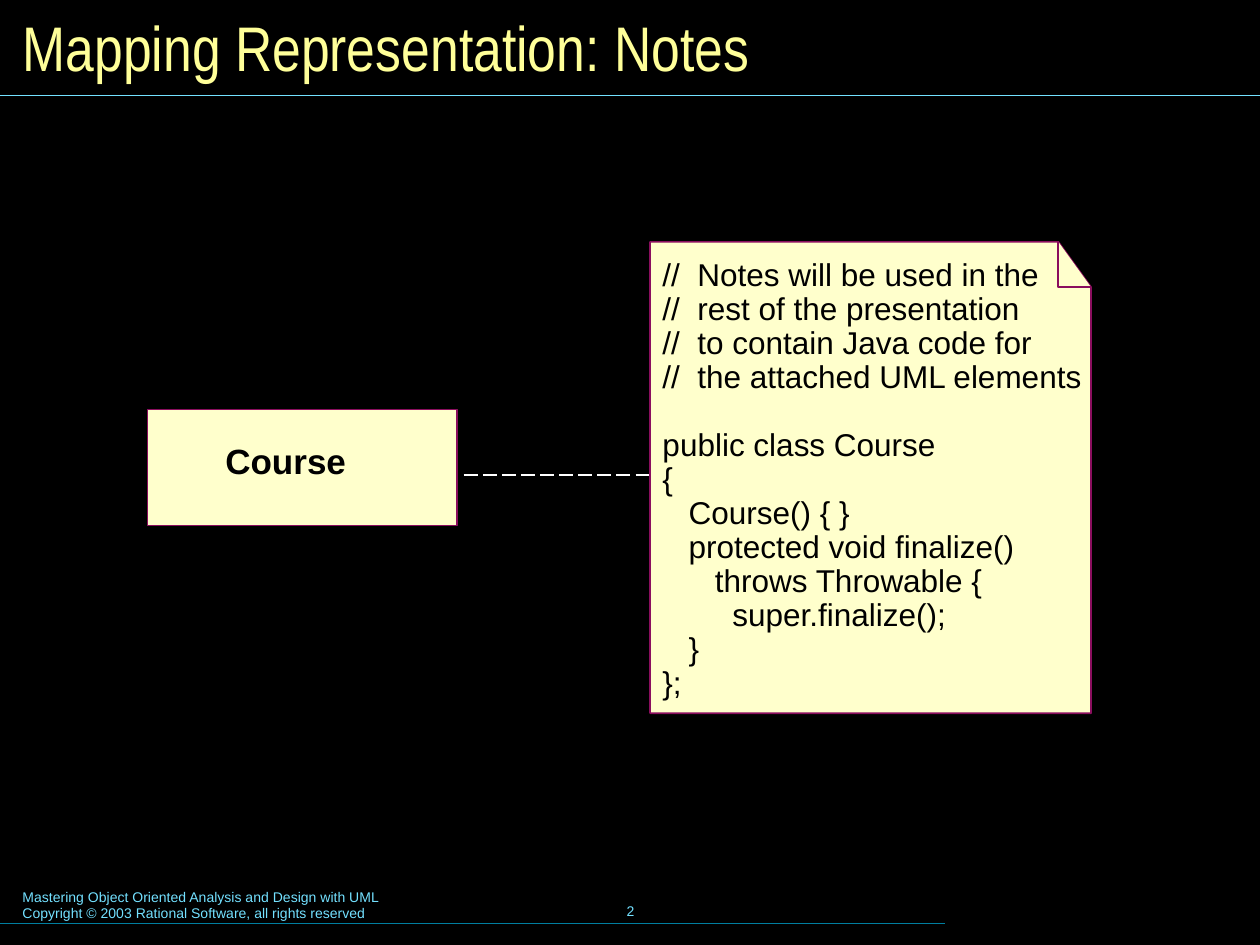
"""Build a slide that shows a UML class with a Java code note attached."""
import pptx
import pptx.dml.color
import pptx.enum.dml
import pptx.enum.shapes
import pptx.enum.text
import pptx.oxml
import pptx.util

Inches = pptx.util.Inches
Pt = pptx.util.Pt
RGBColor = pptx.dml.color.RGBColor
ALIGN = pptx.enum.text.PP_ALIGN
ANCHOR = pptx.enum.text.MSO_ANCHOR

BLACK = RGBColor(0x00, 0x00, 0x00)
WHITE = RGBColor(0xFF, 0xFF, 0xFF)
CREAM = RGBColor(0xFF, 0xFF, 0xCC)
PLUM = RGBColor(0x8A, 0x0E, 0x5E)
YELLOW = RGBColor(0xFF, 0xFF, 0x99)
SKY = RGBColor(0x73, 0xE1, 0xFF)
TEAL = RGBColor(0x00, 0x7E, 0x9F)

TITLE = "Mapping Representation: Notes"
CLASS_NAME = "Course"
PAGE_NUMBER = "2"
FOOTER = [
    "Mastering Object Oriented Analysis and Design with UML",
    "Copyright © 2003 Rational Software, all rights reserved",
]
COMMENT = [
    "//  Notes will be used in the",
    "//  rest of the presentation",
    "//  to contain Java code for",
    "//  the attached UML elements",
]
CODE = [
    "public class Course",
    "{",
    "   Course() { }",
    "   protected void finalize()",
    "      throws Throwable {",
    "        super.finalize();",
    "   }",
    "};",
]

WIDTH, HEIGHT = 10, 7.5
MARGIN = 0.08
NOTE_LEFT, NOTE_TOP, NOTE_RIGHT, NOTE_BOTTOM = 5.16, 1.92, 8.66, 5.66
FOLD_WIDTH, FOLD_HEIGHT = 0.26, 0.36
FOLD_LEFT, FOLD_BOTTOM = NOTE_RIGHT - FOLD_WIDTH, NOTE_TOP + FOLD_HEIGHT
CLASS_AREA = (1.17, 3.25, 2.46, 0.92)
LINK_START, LINK_Y = 3.68, 3.77


def style_text(frame, size, color, font="Arial", bold=False, spacing=None):
    for para in frame.paragraphs:
        para.line_spacing = spacing
        for span in para.runs:
            span.font.name = font
            span.font.size = Pt(size)
            span.font.bold = bold
            span.font.color.rgb = color


def add_text(page, area, lines, size, color, wrap=False, **style):
    box = page.shapes.add_textbox(*map(Inches, area))
    frame = box.text_frame
    frame.word_wrap = wrap
    frame.text = "\n".join(lines)
    style_text(frame, size, color, **style)
    return frame


def paint(shape):
    shape.shadow.inherit = False
    shape.fill.solid()
    shape.fill.fore_color.rgb = CREAM
    shape.line.color.rgb = PLUM
    shape.line.width = Pt(1)


def add_outline(page, points, close):
    start, *rest = [(Inches(x), Inches(y)) for x, y in points]
    builder = page.shapes.build_freeform(*start)
    builder.add_line_segments(rest, close=close)
    paint(builder.convert_to_shape())


def add_line(page, left, right, y, color, width):
    line = page.shapes.add_connector(
        pptx.enum.shapes.MSO_CONNECTOR.STRAIGHT,
        Inches(left), Inches(y), Inches(right), Inches(y))
    line.line.color.rgb = color
    line.line.width = Pt(width)
    properties = line.line._get_or_add_ln().getparent()
    properties.append(pptx.oxml.parse_xml(
        '<a:effectLst xmlns:a="http://schemas.openxmlformats.org/drawingml/2006/main"/>'))
    return line


def add_frame(page):
    add_text(page, (MARGIN, 7, 5.1, 0.37), FOOTER, 8, SKY, wrap=True)
    number = add_text(page, (3.42, 6.98, 3.17, 0.5), [PAGE_NUMBER], 8, SKY)
    number.vertical_anchor = ANCHOR.MIDDLE
    number.paragraphs[0].alignment = ALIGN.CENTER
    add_line(page, 0, WIDTH * 0.75, 7.33, TEAL, 0.75)
    add_line(page, 0, WIDTH, 0.76, SKY, 0.75)


def add_title(page):
    title = page.shapes.title
    title.left, title.top = Inches(MARGIN), Inches(MARGIN)
    title.width, title.height = Inches(WIDTH - 2 * MARGIN), Inches(0.58)
    frame = title.text_frame
    frame.text = TITLE
    frame.vertical_anchor = ANCHOR.MIDDLE
    frame.paragraphs[0].alignment = ALIGN.LEFT
    style_text(frame, 36, YELLOW, font="Arial Narrow")


def add_note(page):
    add_outline(page, [
        (NOTE_RIGHT, NOTE_BOTTOM), (NOTE_LEFT, NOTE_BOTTOM), (NOTE_LEFT, NOTE_TOP),
        (FOLD_LEFT, NOTE_TOP), (NOTE_RIGHT, FOLD_BOTTOM)], close=True)
    add_outline(page, [
        (NOTE_RIGHT, FOLD_BOTTOM), (FOLD_LEFT, FOLD_BOTTOM), (FOLD_LEFT, NOTE_TOP)],
        close=False)
    frame = add_text(page, (NOTE_LEFT, 2.01, 3.53, 3.6), COMMENT + CODE, 18, BLACK,
                     spacing=0.9)
    frame.paragraphs[len(COMMENT)].space_before = Pt(19.4)


def add_class(page):
    paint(page.shapes.add_shape(
        pptx.enum.shapes.MSO_SHAPE.RECTANGLE, *map(Inches, CLASS_AREA)))
    add_text(page, (1.69, 3.48, 1.16, 0.4), [CLASS_NAME], 20, BLACK,
             bold=True, spacing=0.9)


def main():
    deck = pptx.Presentation()
    deck.slide_width, deck.slide_height = Inches(WIDTH), Inches(HEIGHT)
    page = deck.slides.add_slide(deck.slide_layouts[5])
    page.background.fill.solid()
    page.background.fill.fore_color.rgb = BLACK
    add_frame(page)
    add_title(page)
    add_note(page)
    add_class(page)
    link = add_line(page, LINK_START, NOTE_LEFT, LINK_Y, WHITE, 1)
    link.line.dash_style = pptx.enum.dml.MSO_LINE.LONG_DASH
    deck.save("out.pptx")


if __name__ == "__main__":
    main()
